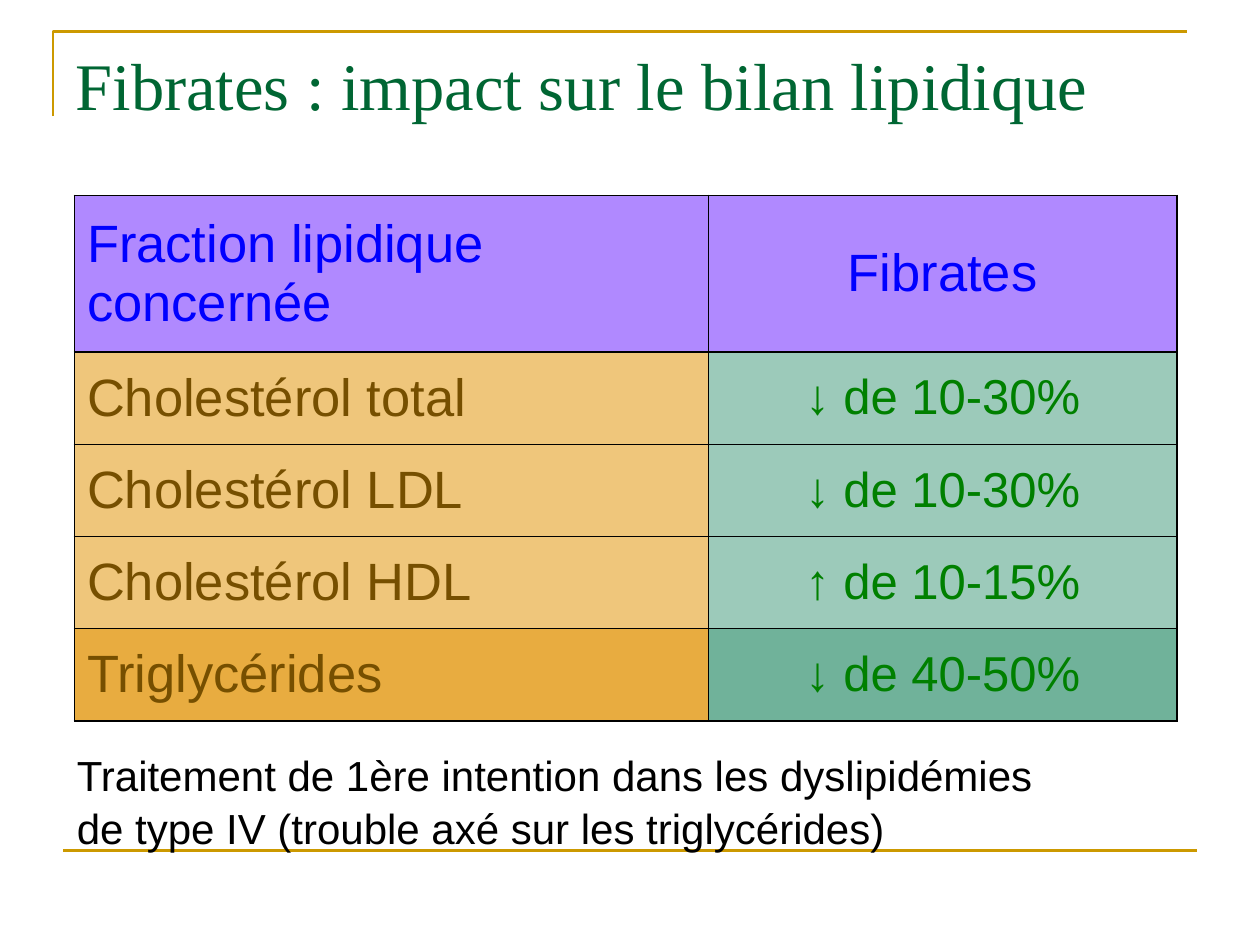
import pptx
import pptx.util
import pptx.dml.color
import pptx.enum.shapes
import pptx.enum.text
import pptx.oxml
import pptx.oxml.ns
from pptx.util import Cm, Pt

LEFT = pptx.enum.text.PP_ALIGN.LEFT
MID = pptx.enum.text.PP_ALIGN.CENTER


def color(code):
    return pptx.dml.color.RGBColor.from_string(code)


class Page:
    """Holds the style and the current slide."""
    gold, green, black = "CC9900", "006633", "000000"
    sans, serif = "Arial", "Times New Roman"
    thin, thick = 0.45, 1.08

    def __init__(self, slide):
        self.slide = slide
        self.shapes = slide.shapes

    def label(self, frame, text, size, ink, face, align=LEFT):
        frame.word_wrap = True
        para = frame.paragraphs[0]
        para.text = text
        para.alignment = align
        para.space_before = Pt(0)
        para.font.size = Pt(size)
        para.font.name = face
        para.font.color.rgb = color(ink)
        return para

    def title(self, text, x, y, w, h):
        box = self.shapes.title
        box.left, box.top, box.width, box.height = Cm(x), Cm(y), Cm(w), Cm(h)
        frame = box.text_frame
        frame.auto_size = pptx.enum.text.MSO_AUTO_SIZE.NONE
        frame.vertical_anchor = pptx.enum.text.MSO_ANCHOR.TOP
        self.label(frame, text, 38, self.green, self.serif)

    def note(self, text, x, y, w, h):
        box = self.shapes.add_textbox(Cm(x), Cm(y), Cm(w), Cm(h))
        para = self.label(box.text_frame, text, 24, self.black, self.sans)
        para.line_spacing = 1.05

    def rule(self, x, y, end):
        line = self.shapes.add_connector(
            pptx.enum.shapes.MSO_CONNECTOR.STRAIGHT,
            Cm(x), Cm(y), Cm(end), Cm(y))
        line.line.color.rgb = color(self.gold)
        line.line.width = Pt(1.5)
        props = line._element.spPr
        props.append(pptx.oxml.parse_xml(
            f"<a:effectLst {pptx.oxml.ns.nsdecls('a')}/>"))

    def corner(self, x, y, w, h):
        outline = self.shapes.build_freeform(Cm(x), Cm(y + h))
        outline.add_line_segments(
            [(Cm(x), Cm(y)), (Cm(x + w), Cm(y))], close=False)
        shape = outline.convert_to_shape()
        shape.shadow.inherit = False
        shape.fill.background()
        shape.line.color.rgb = color(self.gold)
        shape.line.width = Pt(1.5)

    def border(self, cell, sides):
        props = cell._tc.get_or_add_tcPr()
        for spot, (side, width) in enumerate(sides.items()):
            props.insert(spot, pptx.oxml.parse_xml(
                f"<a:ln{side} {pptx.oxml.ns.nsdecls('a')} w='{int(Pt(width))}'>"
                f"<a:solidFill><a:srgbClr val='{self.black}'/></a:solidFill>"
                f"</a:ln{side}>"))

    def table(self, rows, looks, x, y, wide, tall):
        grid = self.shapes.add_table(
            len(rows), len(wide), Cm(x), Cm(y),
            Cm(sum(wide)), Cm(sum(tall))).table
        for col, width in zip(grid.columns, wide):
            col.width = Cm(width)
        for r, (texts, height) in enumerate(zip(rows, tall)):
            grid.rows[r].height = Cm(height)
            for c, text in enumerate(texts):
                fill, ink, size = looks[r][c]
                cell = grid.cell(r, c)
                cell.vertical_anchor = pptx.enum.text.MSO_ANCHOR.MIDDLE
                cell.fill.solid()
                cell.fill.fore_color.rgb = color(fill)
                self.label(cell.text_frame, text, size, ink, self.sans,
                           MID if c else LEFT)
                # Thick frame, and a thick line under the header
                heavy = {"L": c == 0, "R": c == len(wide) - 1,
                         "T": r < 2, "B": r in (0, len(rows) - 1)}
                self.border(cell, {s: self.thick if on else self.thin
                                   for s, on in heavy.items()})


def main():
    deck = pptx.Presentation()
    deck.slide_width, deck.slide_height = Cm(25.4), Cm(19.05)
    page = Page(deck.slides.add_slide(deck.slide_layouts[5]))

    # Gold lines
    page.corner(1.07, 0.64, 22.86, 1.7)
    page.rule(1.27, 17.15, 24.13)

    # Title and closing remark
    page.title("Fibrates : impact sur le bilan lipidique",
               1.27, 0.76, 22.86, 3.18)
    page.note("Traitement de 1ère intention dans les dyslipidémies "
              "de type IV (trouble axé sur les triglycérides)",
              1.3, 14.94, 20, 2.29)

    # Effect on each lipid fraction
    rows = [("Fraction lipidique concernée", "Fibrates"),
            ("Cholestérol total", "↓ de 10-30%"),
            ("Cholestérol LDL", "↓ de 10-30%"),
            ("Cholestérol HDL", "↑ de 10-15%"),
            ("Triglycérides", "↓ de 40-50%")]
    head = [("B089FF", "0000FF", 30)] * 2
    soft = [("EFC67B", "764F00", 30), ("9CCABA", "008000", 28)]
    deep = [("E8AC40", "764F00", 30), ("70B29A", "008000", 28)]
    page.table(rows, [head, soft, soft, soft, deep],
               1.5, 3.94, [12.78, 9.45], [3.15] + [1.86] * 4)

    deck.save("out.pptx")


if __name__ == "__main__":
    main()
